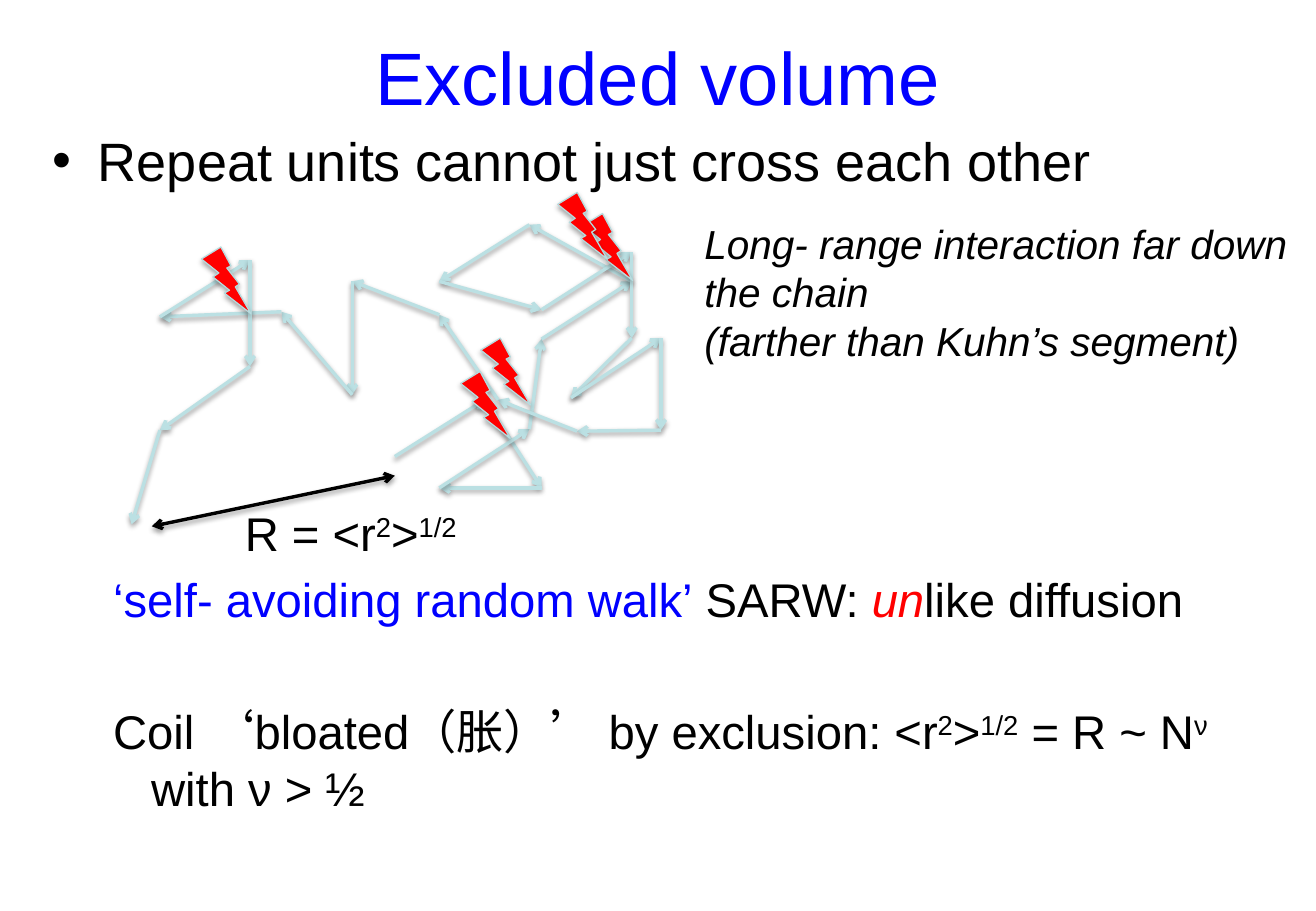
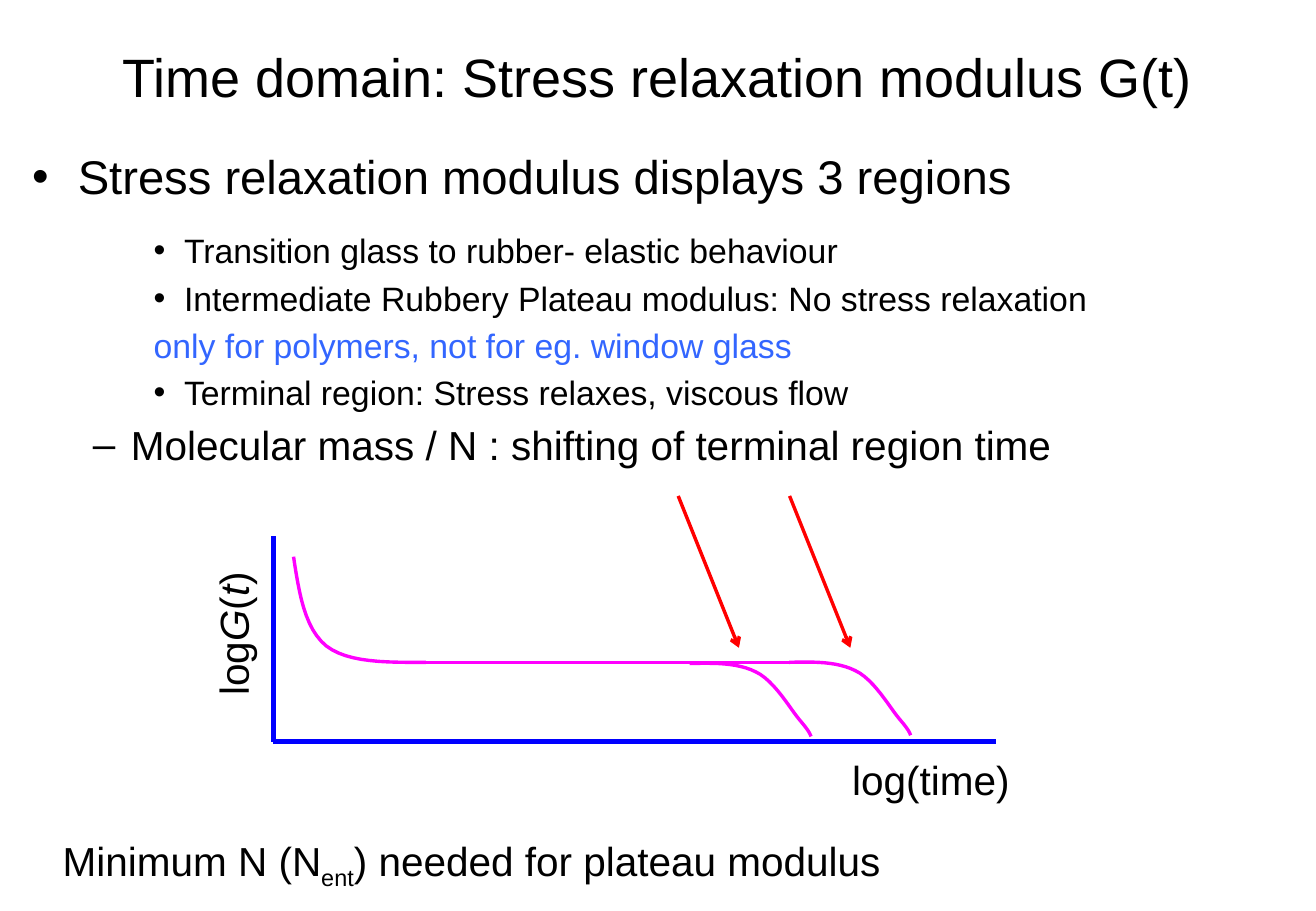
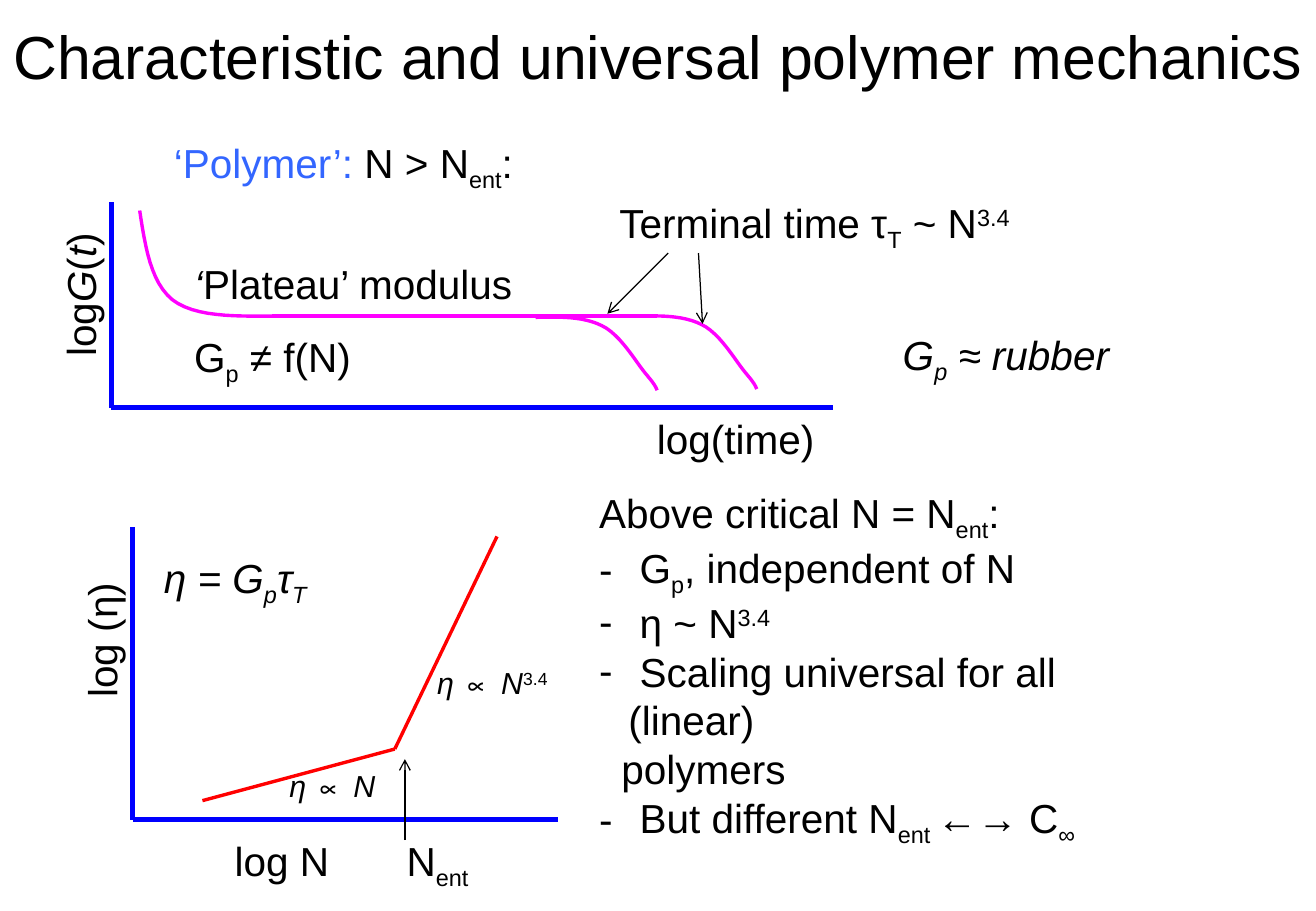
from dataclasses import dataclass
from itertools import pairwise

from lxml import etree
from pptx import Presentation
from pptx.dml.color import RGBColor
from pptx.enum.shapes import MSO_CONNECTOR, MSO_SHAPE
from pptx.enum.text import MSO_ANCHOR, MSO_AUTO_SIZE, PP_ALIGN
from pptx.oxml.ns import qn
from pptx.util import Emu, Pt

STRAIGHT = MSO_CONNECTOR.STRAIGHT
BOLT = MSO_SHAPE.LIGHTNING_BOLT
CENTER = PP_ALIGN.CENTER
MIDDLE = MSO_ANCHOR.MIDDLE
NO_FIT = MSO_AUTO_SIZE.NONE
GROW = MSO_AUTO_SIZE.SHAPE_TO_FIT_TEXT

CELL = 76200
COLUMNS, ROWS = 130, 90
TITLE_ONLY = 5
FONT = "Arial"
COLORS = {
    "black": "000000",
    "blue": "0000FF",
    "sky": "3366FF",
    "red": "FF0000",
    "magenta": "FF00FF",
    "chain": "BBE0E3",
    "bolt_edge": "B6DCDF",
}

Point = tuple[float, float]


@dataclass(frozen=True)
class Span:
    text: str
    color: str = "black"
    italic: bool = False
    baseline: int = 0


@dataclass(frozen=True)
class Para:
    spans: tuple[Span, ...]
    size: float = 24
    before: float = 0
    left: float = 0
    hang: float = 0
    bullet: str = ""


@dataclass(frozen=True)
class Label:
    col: float
    row: float
    width: float
    paras: tuple[Para, ...]
    height: float = 6
    rotation: float = 0
    wrap: bool = False


@dataclass(frozen=True)
class Stroke:
    color: str
    width: float
    head: bool = False
    tail: bool = False
    shadow: bool = False


AXIS = Stroke("blue", 3)
CURVE = Stroke("magenta", 2)
TREND = Stroke("red", 2)
MARKER = Stroke("red", 2, tail=True)
POINTER = Stroke("black", 0.75, tail=True)
CHAIN = Stroke("chain", 2, tail=True, shadow=True)
END_TO_END = Stroke("black", 2, head=True, tail=True, shadow=True)

CHAIN_NODES: list[Point] = [
    (39, 45.1), (47.9, 39.5), (53.5, 48.2), (43.4, 48.2), (52.3, 42.4),
    (53.5, 33.5), (62.4, 27.8), (52.3, 22.2), (43.4, 27.8), (53.5, 30.6),
    (62.4, 24.9), (62.4, 33.4), (56.4, 39.3), (65.3, 33.4), (65.3, 42.5),
    (57, 42.6), (49.2, 39.5), (43.4, 31.1), (34.8, 27.8), (34.8, 39),
    (27.8, 30.8), (15.8, 31.3), (24.7, 25.7), (24.7, 36.2), (15.8, 42.5),
    (13, 51.8),
]
CROSSINGS: list[Point] = [
    (57.6, 21.1), (55.1, 19), (19.9, 24.4), (47.5, 33.4), (45.5, 36.7),
]
GLASS_DECAY: list[Point] = [
    (0, 0), (0.54, 3.54), (1.08, 7.08), (3.24, 8.82),
    (5.4, 10.5), (9.24, 10.44), (13.08, 10.44),
]
TERMINAL_DECAY: list[Point] = [
    (0, 0), (2.4, -0.06), (4.68, -0.1), (6.54, 0.82), (8.4, 1.7),
    (9.96, 4.5), (10.86, 5.55), (11.76, 6.6), (11.88, 6.9), (12, 7.2),
]
TERMINAL_STARTS: list[Point] = [(48.96, 10.44), (39.12, 10.56)]


def grid(cells: float) -> Emu:
    return Emu(round(cells * CELL))


def rgb(name: str) -> RGBColor:
    return RGBColor.from_string(COLORS[name])


def sub(text: str, italic: bool = False) -> Span:
    return Span(text, italic=italic, baseline=-25)


def sup(text: str) -> Span:
    return Span(text, baseline=30)


def it(text: str) -> Span:
    return Span(text, italic=True)


def line_of(*parts: Span | str, **layout) -> Para:
    spans = tuple(Span(p) if isinstance(p, str) else p for p in parts)
    return Para(spans, **layout)


def write(frame, paras: tuple[Para, ...]) -> None:
    for index, para in enumerate(paras):
        paragraph = frame.add_paragraph() if index else frame.paragraphs[0]
        paragraph.space_before = Pt(para.before)
        props = paragraph._p.get_or_add_pPr()
        props.set("marL", str(grid(para.left)))
        props.set("indent", str(grid(-para.hang)))
        if para.bullet:
            etree.SubElement(props, qn("a:buFont")).set("typeface", FONT)
            etree.SubElement(props, qn("a:buChar")).set("char", para.bullet)
        else:
            etree.SubElement(props, qn("a:buNone"))
        for span in para.spans:
            run = paragraph.add_run()
            run.text = span.text
            formats = {"name": FONT, "size": Pt(para.size), "italic": span.italic}
            for attribute, value in formats.items():
                setattr(run.font, attribute, value)
            run.font.color.rgb = rgb(span.color)
            if span.baseline:
                run._r.get_or_add_rPr().set("baseline", str(span.baseline * 1000))


def add_title(slide, para: Para, row: float = 0, col: float = 0) -> None:
    title = slide.shapes.title
    place = {"left": col, "top": row, "width": COLUMNS - 2 * col, "height": 15}
    for attribute, cells in place.items():
        setattr(title, attribute, grid(cells))
    frame = title.text_frame
    formats = {"vertical_anchor": MIDDLE, "auto_size": NO_FIT, "word_wrap": True}
    for attribute, value in formats.items():
        setattr(frame, attribute, value)
    write(frame, (para,))
    frame.paragraphs[0].alignment = CENTER


def add_label(slide, label: Label) -> None:
    box = slide.shapes.add_textbox(
        *map(grid, (label.col, label.row, label.width, label.height))
    )
    box.rotation = label.rotation
    box.text_frame.word_wrap = label.wrap
    box.text_frame.auto_size = NO_FIT if label.wrap else GROW
    write(box.text_frame, label.paras)


def cast_shadow(effects, distance: int, opacity: int) -> None:
    shadow = etree.SubElement(effects, qn("a:outerShdw"))
    settings = {"blurRad": 40000, "dist": distance, "dir": 5400000, "rotWithShape": 0}
    for attribute, value in settings.items():
        shadow.set(attribute, str(value))
    color = etree.SubElement(shadow, qn("a:srgbClr"))
    color.set("val", COLORS["black"])
    etree.SubElement(color, qn("a:alpha")).set("val", str(opacity * 1000))


def add_line(slide, start: Point, end: Point, stroke: Stroke) -> None:
    line = slide.shapes.add_connector(STRAIGHT, *map(grid, (*start, *end)))
    line.line.color.rgb = rgb(stroke.color)
    line.line.width = Pt(stroke.width)
    outline = line.line._get_or_add_ln()
    for tag, shown in (("a:headEnd", stroke.head), ("a:tailEnd", stroke.tail)):
        if shown:
            etree.SubElement(outline, qn(tag)).set("type", "arrow")
    effects = etree.SubElement(line._element.spPr, qn("a:effectLst"))
    if stroke.shadow:
        cast_shadow(effects, 20000, 38)


def add_bolt(slide, col: float, row: float) -> None:
    bolt = slide.shapes.add_shape(BOLT, *map(grid, (col, row, 4.9, 6.6)))
    bolt.fill.solid()
    bolt.fill.fore_color.rgb = rgb("red")
    bolt.line.color.rgb = rgb("bolt_edge")
    bolt.line.width = Pt(0.75)
    bolt.shadow.inherit = False
    cast_shadow(bolt._element.spPr.find(qn("a:effectLst")), 23000, 35)


def bezier(controls: list[Point], steps: int = 12) -> list[Point]:
    points = [controls[0]]
    for first in range(0, len(controls) - 1, 3):
        a, b, c, d = controls[first:first + 4]
        for step in range(1, steps + 1):
            t = step / steps
            u = 1 - t
            weights = (u**3, 3 * u * u * t, 3 * u * t * t, t**3)
            points.append(tuple(
                sum(w * p[axis] for w, p in zip(weights, (a, b, c, d)))
                for axis in (0, 1)
            ))
    return points


def add_curve(slide, origin: Point, controls: list[Point]) -> None:
    points = [(grid(origin[0] + x), grid(origin[1] + y)) for x, y in bezier(controls)]
    builder = slide.shapes.build_freeform(*points[0])
    builder.add_line_segments(points[1:], close=False)
    curve = builder.convert_to_shape()
    curve.fill.background()
    curve.line.color.rgb = rgb(CURVE.color)
    curve.line.width = Pt(CURVE.width)
    curve.shadow.inherit = False


def add_relaxation(slide, col: float, row: float) -> None:
    plateau = row + GLASS_DECAY[-1][1]
    add_line(slide, (col + GLASS_DECAY[-1][0], plateau), (col + 51.12, plateau), CURVE)
    add_curve(slide, (col, row), GLASS_DECAY)
    for x, y in TERMINAL_STARTS:
        add_curve(slide, (col + x, row + y), TERMINAL_DECAY)


def add_axes(slide, col: float, row: float, width: float, height: float) -> None:
    add_line(slide, (col, row - height), (col, row), AXIS)
    add_line(slide, (col, row), (col + width, row), AXIS)


LOG_G = (line_of("log", it("G"), "(", it("t"), ")"),)
LOG_TIME = (line_of("log(time)"),)


def excluded_volume(slide) -> None:
    add_title(slide, line_of(Span("Excluded volume", "blue"), size=44), col=10)
    level = {"size": 28, "left": 9.75, "hang": 3.75}
    add_label(slide, Label(4, 12, 126, (
        line_of("Repeat units cannot just cross each other",
                size=32, left=4.5, hang=4.5, bullet="•"),
        line_of("R = <r", sup("2"), ">", sup("1/2"), size=28, before=184.8, left=19),
        line_of(Span("‘self- avoiding random walk’", "blue"), " SARW: ",
                Span("un", "red", italic=True), "like diffusion", before=5.6, **level),
        line_of("Coil ‘bloated（胀）’ by exclusion: <r", sup("2"), ">", sup("1/2"),
                " = R ~ N", sup("ν"), " with ν > ½", before=44.8, **level),
    ), height=54, wrap=True))
    for start, end in pairwise(CHAIN_NODES):
        add_line(slide, start, end, CHAIN)
    for col, row in CROSSINGS:
        add_bolt(slide, col, row)
    add_label(slide, Label(68.4, 21, 61.6, (
        line_of(it("Long- range interaction far down")),
        line_of(it("the chain")),
        line_of(it("(farther than Kuhn’s segment)")),
    ), height=15.7))
    add_line(slide, (15, 52), (39, 47), END_TO_END)


def stress_relaxation(slide) -> None:
    add_title(slide, line_of("Time domain: Stress relaxation modulus G(t)", size=32))
    region = {"size": 20, "left": 15, "hang": 3}
    add_label(slide, Label(2, 14, 124, (
        line_of("Stress relaxation modulus displays 3 regions",
                size=28, left=4.5, hang=4.5, bullet="•"),
        line_of("Transition glass to rubber- elastic behaviour",
                before=15.2, bullet="•", **region),
        line_of("Intermediate Rubbery Plateau modulus: No stress relaxation",
                before=4, bullet="•", **region),
        line_of(Span("only for polymers, not for eg. window glass", "sky"),
                before=4, **region),
        line_of("Terminal region: Stress relaxes, viscous flow",
                before=4, bullet="•", **region),
        line_of("Molecular mass / N : shifting of terminal region time",
                before=4.8, left=9.75, hang=3.75, bullet="–"),
    ), height=34, wrap=True))
    add_axes(slide, 27, 73.3, 71.4, 20.3)
    add_relaxation(slide, 29, 55)
    for col in (67, 78):
        add_line(slide, (col, 49), (col + 6, 64), MARKER)
    for label in (
        Label(83, 74, 18.1, LOG_TIME),
        Label(15, 58.9, 16, LOG_G, rotation=270, wrap=True),
        Label(5, 82, 85.3, (
            line_of("Minimum N (N", sub("ent"), ") needed for plateau modulus"),
        )),
    ):
        add_label(slide, label)


def universal_mechanics(slide) -> None:
    add_title(slide, line_of("Characteristic and universal polymer mechanics", size=36),
              row=-2)
    add_axes(slide, 11, 40.3, 71.3, 20.3)
    add_relaxation(slide, 13.8, 20.8)
    add_axes(slide, 13.1, 81, 42, 28.9)
    for start, end, stroke in (
        ((66, 25), (60, 31), POINTER),
        ((69, 25), (69.4, 32), POINTER),
        ((20, 79.1), (39, 74), TREND),
        ((39, 74), (49.1, 53), TREND),
        ((40, 83), (40, 75), POINTER),
    ):
        add_line(slide, start, end, stroke)
    item = {"left": 2.9, "hang": 2.9, "bullet": "-"}
    for label in (
        Label(63.7, 40.3, 18.1, LOG_TIME),
        Label(0.5, 26, 14.8, LOG_G, rotation=270),
        Label(18, 25, 34.3, (
            line_of(it("‘"), "Plateau’ modulus"),
            line_of("G", sub("p"), " ≠ f(N)", before=14.4),
        ), height=13.3),
        Label(60, 19, 43.7, (
            line_of("Terminal time τ", sub("T"), " ~ N", sup("3.4")),
        )),
        Label(88, 32, 25, (line_of(it("G"), sub("p", True), it(" ≈ rubber")),)),
        Label(22, 82, 11.9, (line_of("log N"),)),
        Label(3, 60.1, 14, (line_of("log (η)"),), rotation=270),
        Label(27.4, 75.2, 14.8, (line_of(it("η ∝ N"), size=18),), 4.8, wrap=True),
        Label(42, 65, 14.8, (line_of(it("η ∝ N"), sup("3.4"), size=18),), 4.8, wrap=True),
        Label(15, 54, 18.4, (
            line_of(it("η = G"), sub("p", True), it("τ"), sub("T", True)),
        )),
        Label(39, 82, 9.1, (line_of("N", sub("ent")),)),
        Label(16, 13, 36.6, (
            line_of(Span("‘Polymer’: ", "sky"), "N > N", sub("ent"), ":"),
        )),
        Label(58, 47.6, 54, (
            line_of("Above critical N = N", sub("ent"), ":"),
            line_of(" G", sub("p"), ", independent of N", **item),
            line_of(" η ~ N", sup("3.4"), **item),
            line_of(" Scaling universal for all (linear)", **item),
            line_of("polymers", left=2.2),
            line_of(" But different N", sub("ent "), "←→ C", sub("∞"), **item),
        ), height=36, wrap=True),
    ):
        add_label(slide, label)


def main() -> None:
    deck = Presentation()
    deck.slide_width = grid(COLUMNS)
    deck.slide_height = grid(ROWS)
    for build in (excluded_volume, stress_relaxation, universal_mechanics):
        build(deck.slides.add_slide(deck.slide_layouts[TITLE_ONLY]))
    deck.save("out.pptx")


if __name__ == "__main__":
    main()
